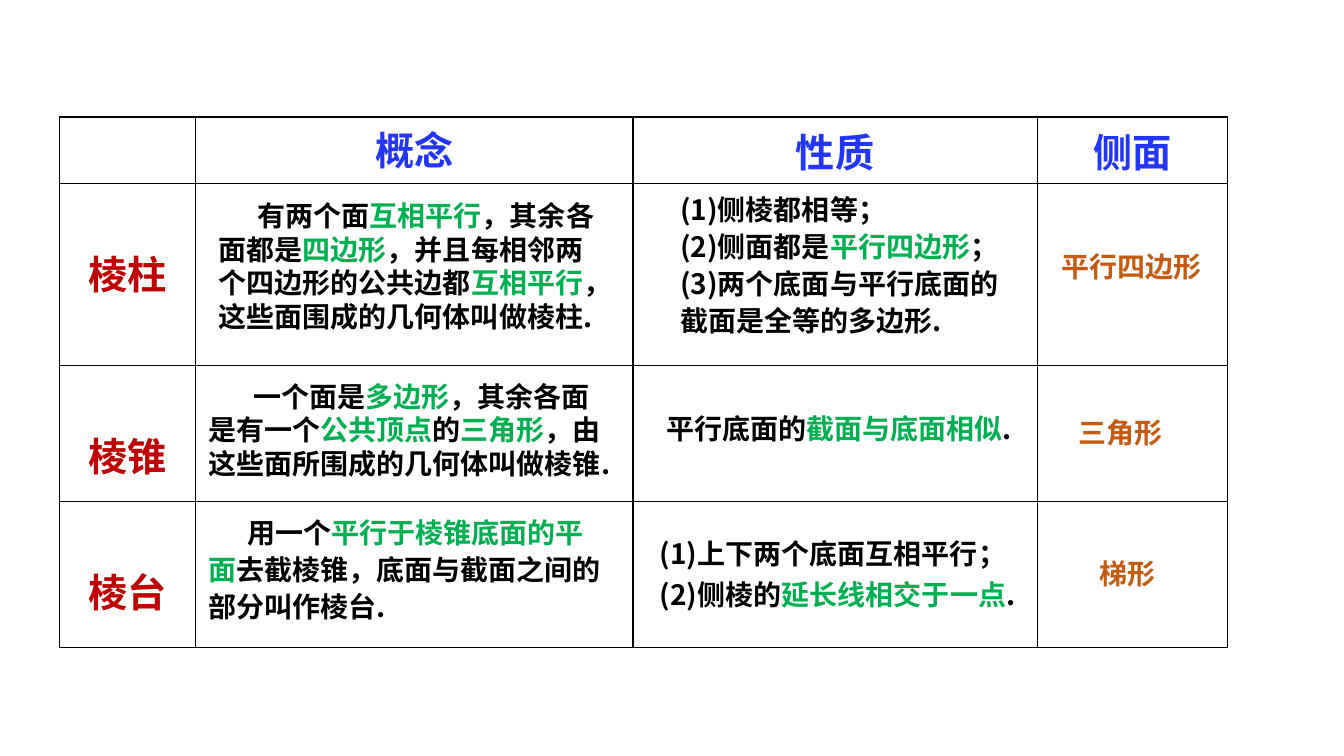
"""Build a slide comparing prisms, pyramids and frustums in a ruled table."""
import pptx
import pptx.dml.color
import pptx.enum.text
import pptx.oxml
import pptx.oxml.ns
import pptx.util

Cm, Pt = pptx.util.Cm, pptx.util.Pt
RGBColor = pptx.dml.color.RGBColor
PP_ALIGN = pptx.enum.text.PP_ALIGN
MSO_ANCHOR = pptx.enum.text.MSO_ANCHOR

FONT = "Noto Sans CJK SC"
BLACK = RGBColor(0x00, 0x00, 0x00)
BLUE = RGBColor(0x22, 0x36, 0xF8)
RED = RGBColor(0xC0, 0x00, 0x00)
GREEN = RGBColor(0x00, 0xB0, 0x50)
BROWN = RGBColor(0xC5, 0x5A, 0x11)

HEADINGS = ["", "概念", "性质", "侧面"]
SOLIDS = ["棱柱", "棱锥", "棱台"]
COLUMN_WIDTHS = [3.43, 11.02, 10.19, 4.8]
ROW_HEIGHTS = [1.6, 4.57, 3.43, 3.68]
TABLE_LEFT, TABLE_TOP = 1.5, 2.95
LABEL_DEPTH = 2.24
CELL_MARGIN = 0.13

# Position in cm, first-line indent, line spacing, colour, paragraphs; |…| marks key terms.
NOTES = [
    ((5.31, 4.9, 10.26, 3.61), 0.98, 1, BLACK,
     ["有两个面|互相平行|，其余各面都是|四边形|，并且每相邻两个四边形的公共边都"
      "|互相平行|，这些面围成的几何体叫做棱柱."]),
    ((5.05, 9.45, 10.34, 2.74), 1.13, 1, BLACK,
     ["一个面是|多边形|，其余各面是有一个|公共顶点|的|三角形|，由这些面所围成的几何体叫做棱锥."]),
    ((5.05, 12.8, 10.52, 3.02), 0.98, 1.1, BLACK,
     ["用一个|平行于棱锥底面的平面|去截棱锥，底面与截面之间的部分叫作棱台."]),
    ((16.94, 4.67, 8.64, 3.96), 0, 1.1, BLACK,
     ["(1)侧棱都相等；", "(2)侧面都是|平行四边形|；",
      "(3)两个底面与平行底面的截面是全等的多边形."]),
    ((16.59, 10.26, 8.92, 1.04), 0, 1, BLACK, ["平行底面的|截面与底面相似|."]),
    ((16.43, 13.26, 9.4, 2.24), 0, 1.2, BLACK,
     ["(1)上下两个底面互相平行；", "(2)侧棱的|延长线相交于一点|."]),
    ((26.54, 6.2, 4.06, 1.04), 0, 1, BROWN, ["平行四边形"]),
    ((26.97, 10.36, 2.87, 1.04), 0, 1, BROWN, ["三角形"]),
    ((27.51, 13.92, 1.93, 1.04), 0, 1, BROWN, ["梯形"]),
]


def style_run(run, size, color):
    run.font.size = Pt(size)
    run.font.bold = True
    run.font.color.rgb = color
    run.font.name = FONT
    east_asian = pptx.oxml.parse_xml(
        f'<a:ea {pptx.oxml.ns.nsdecls("a")} typeface="{FONT}"/>')
    run.font._element.append(east_asian)


def rule_cell(cell):
    properties = cell._tc.get_or_add_tcPr()
    for position, side in enumerate(("lnL", "lnR", "lnT", "lnB")):
        properties.insert(position, pptx.oxml.parse_xml(
            f'<a:{side} {pptx.oxml.ns.nsdecls("a")} w="12700"><a:solidFill>'
            f'<a:srgbClr val="{BLACK}"/></a:solidFill></a:{side}>'))


def fill_cell(cell, text, color):
    cell.vertical_anchor = MSO_ANCHOR.MIDDLE
    cell.text_frame.text = text
    paragraph = cell.text_frame.paragraphs[0]
    paragraph.alignment = PP_ALIGN.CENTER
    for run in paragraph.runs:
        style_run(run, 28, color)


def add_comparison_table(slide):
    frame = slide.shapes.add_table(
        len(ROW_HEIGHTS), len(COLUMN_WIDTHS), Cm(TABLE_LEFT), Cm(TABLE_TOP),
        Cm(sum(COLUMN_WIDTHS)), Cm(sum(ROW_HEIGHTS)))
    table = frame.table
    table.first_row = table.horz_banding = False
    for column, width in zip(table.columns, COLUMN_WIDTHS):
        column.width = Cm(width)
    for row, height in zip(table.rows, ROW_HEIGHTS):
        row.height = Cm(height)
    for cell in table.iter_cells():
        cell.fill.background()
        rule_cell(cell)
    for index, heading in enumerate(HEADINGS):
        fill_cell(table.cell(0, index), heading, BLUE)
    table.cell(0, 1).text_frame.paragraphs[0].line_spacing = 0.9
    for index, solid in enumerate(SOLIDS, start=1):
        label = table.cell(index, 0)
        fill_cell(label, solid, RED)
        label.margin_bottom = Cm(CELL_MARGIN)
        label.margin_top = Cm(2 * LABEL_DEPTH + CELL_MARGIN - ROW_HEIGHTS[index])


def add_note(slide, place, indent, spacing, color, lines):
    frame = slide.shapes.add_textbox(*map(Cm, place)).text_frame
    frame.word_wrap = True
    frame.auto_size = pptx.enum.text.MSO_AUTO_SIZE.SHAPE_TO_FIT_TEXT
    frame.margin_left = frame.margin_right = Cm(0.2)
    frame.margin_top = frame.margin_bottom = Cm(0.1)
    for index, line in enumerate(lines):
        paragraph = frame.add_paragraph() if index else frame.paragraphs[0]
        paragraph.line_spacing = float(spacing)
        if indent:
            paragraph._p.get_or_add_pPr().set("indent", str(Cm(indent)))
        for part, text in enumerate(line.split("|")):
            run = paragraph.add_run()
            run.text = text
            style_run(run, 20, GREEN if part % 2 else color)


def main():
    presentation = pptx.Presentation()
    presentation.slide_width, presentation.slide_height = Cm(33.87), Cm(19.05)
    slide = presentation.slides.add_slide(presentation.slide_layouts[6])
    add_comparison_table(slide)
    for note in NOTES:
        add_note(slide, *note)
    presentation.save("out.pptx")


if __name__ == "__main__":
    main()
